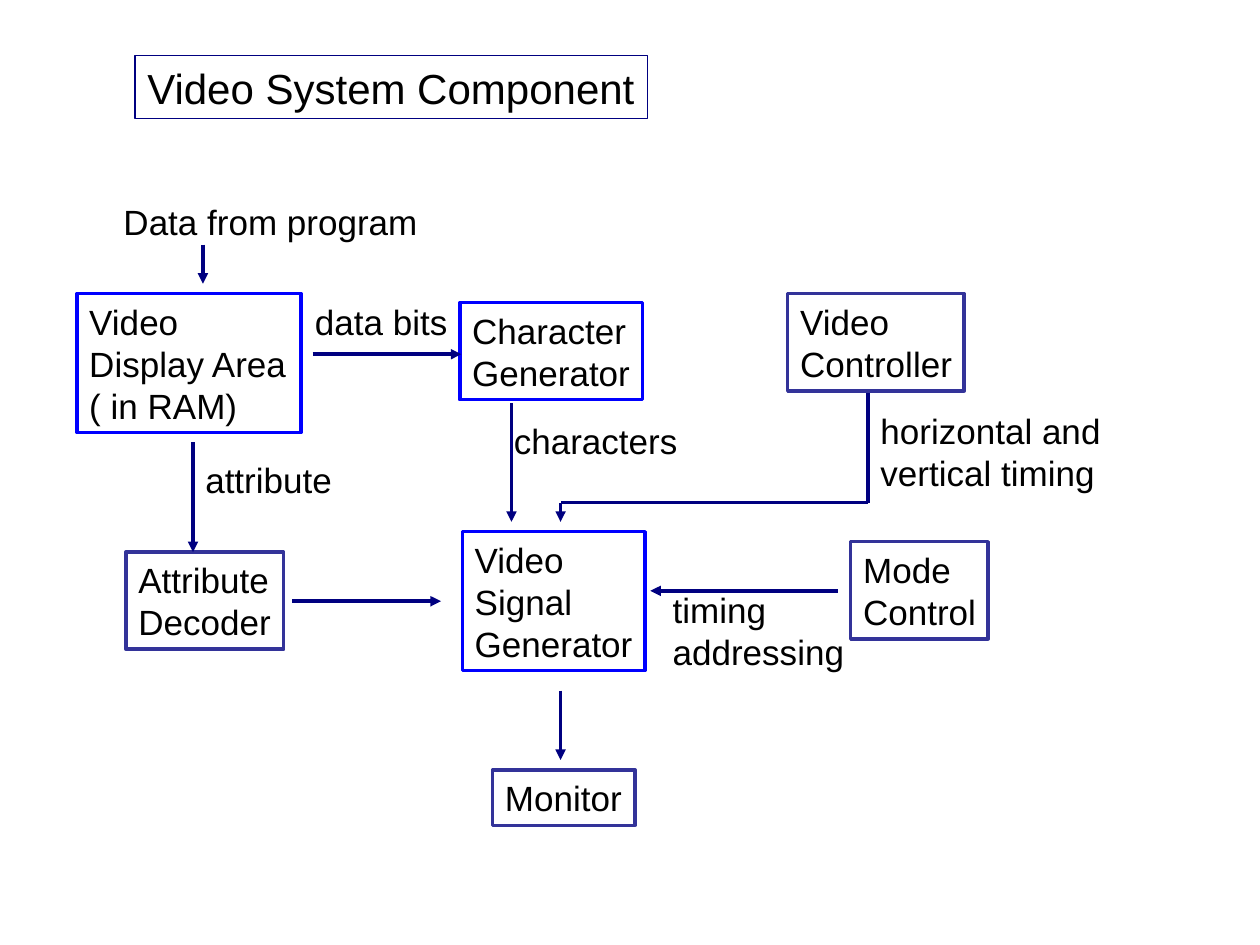
from lxml.etree import SubElement
from pptx import Presentation
from pptx.dml.color import RGBColor as RGB
from pptx.enum.shapes import MSO_CONNECTOR as CONN, MSO_SHAPE as SHAPE
from pptx.enum.text import MSO_ANCHOR as ANCHOR, MSO_AUTO_SIZE as AUTO, PP_ALIGN as ALIGN
from pptx.oxml.ns import qn
from pptx.util import Cm, Pt

COLORS = {"text": "000000", "navy": "000080", "blue": "0000FF", "indigo": "333399"}
FRAME = {"margin_left": Cm(0.25), "margin_right": Cm(0.25), "margin_top": Cm(0.13),
         "margin_bottom": Cm(0.13), "word_wrap": False, "auto_size": AUTO.NONE,
         "vertical_anchor": ANCHOR.TOP}
PARAGRAPH = {"alignment": ALIGN.LEFT, "space_before": Pt(0), "line_spacing": 1.0}
LINE_HEIGHT, PADDING = 0.84, 0.28

TITLE = ("Video System Component", 2.72, 1.12, 10.34, 1.27)
BOXES = [
    (["Video", "Display Area", "( in RAM)"], 1.55, 5.92, 4.52, "blue"),
    (["Character", "Generator"], 9.27, 6.1, 3.68, "blue"),
    (["Video", "Controller"], 15.88, 5.92, 3.56, "indigo"),
    (["Video", "Signal", "Generator"], 9.32, 10.72, 3.68, "blue"),
    (["Mode", "Control"], 17.15, 10.92, 2.77, "indigo"),
    (["Monitor"], 9.93, 15.52, 2.87, "indigo"),
    (["Attribute", "Decoder"], 2.54, 11.13, 3.18, "indigo"),
]
LABELS = [
    (["Data from program"], 2.24, 3.91, 6.43),
    (["attribute"], 3.89, 9.12, 3.28),
    (["data bits"], 6.1, 5.92, 3.18),
    (["characters"], 10.11, 8.33, 3.81),
    (["horizontal and", "vertical timing"], 17.5, 8.13, 4.95),
    (["timing", "addressing"], 13.31, 11.73, 3.96),
]
ROUTES = [
    [(4.09, 4.93), (4.09, 5.72)],
    [(6.3, 7.14), (9.3, 7.14)],
    [(11.3, 13.92), (11.3, 15.32)],
    [(3.89, 8.92), (3.89, 11.13)],
    [(10.31, 8.13), (10.31, 10.52)],
    [(17.5, 7.92), (17.5, 10.13), (11.3, 10.13), (11.3, 10.52)],
    [(5.89, 12.12), (8.89, 12.12)],
    [(16.89, 11.91), (13.11, 11.91)],
]


def apply(target, values):
    """Set every attribute listed in values on target."""
    for name, value in values.items():
        setattr(target, name, value)


def color(name):
    """Return the named colour."""
    return RGB.from_string(COLORS[name])


def write(s, lines, size):
    """Fill a shape with one left-aligned paragraph per line."""
    tf = s.text_frame
    tf.text = "\n".join(lines)
    apply(tf, FRAME)
    for p in tf.paragraphs:
        apply(p, PARAGRAPH)
        for r in p.runs:
            apply(r.font, {"name": "Arial", "size": Pt(size)})
            r.font.color.rgb = color("text")


def outline(s, name, width):
    """Give a shape or connector a solid line."""
    s.line.color.rgb = color(name)
    s.line.width = Pt(width)


def area(lines, left, top, width):
    """Return the position and size of a block with the given lines."""
    return [Cm(v) for v in (left, top, width, PADDING + LINE_HEIGHT * len(lines))]


def add_route(slide, points):
    """Draw straight segments through the points, ending in an arrowhead."""
    for start, end in zip(points, points[1:]):
        s = slide.shapes.add_connector(CONN.STRAIGHT, *[Cm(v) for v in start + end])
        outline(s, "navy", 2)
        SubElement(s.element.spPr, qn("a:effectLst"))
    SubElement(s.line._get_or_add_ln(), qn("a:tailEnd"), type="triangle")


def main():
    """Build the video system diagram."""
    prs = Presentation()
    prs.slide_width, prs.slide_height = Cm(25.4), Cm(19.05)
    slide = prs.slides.add_slide(prs.slide_layouts[5])
    text, *place = TITLE
    title = slide.shapes.title
    apply(title, dict(zip(("left", "top", "width", "height"), map(Cm, place))))
    write(title, [text], 24)
    outline(title, "navy", 0.75)
    for lines, left, top, width, line_color in BOXES:
        s = slide.shapes.add_shape(SHAPE.RECTANGLE, *area(lines, left, top, width))
        s.shadow.inherit = False
        s.fill.background()
        outline(s, line_color, 2)
        write(s, lines, 20)
    for points in ROUTES:
        add_route(slide, points)
    for lines, *spot in LABELS:
        write(slide.shapes.add_textbox(*area(lines, *spot)), lines, 20)
    prs.save("out.pptx")


if __name__ == "__main__":
    main()
